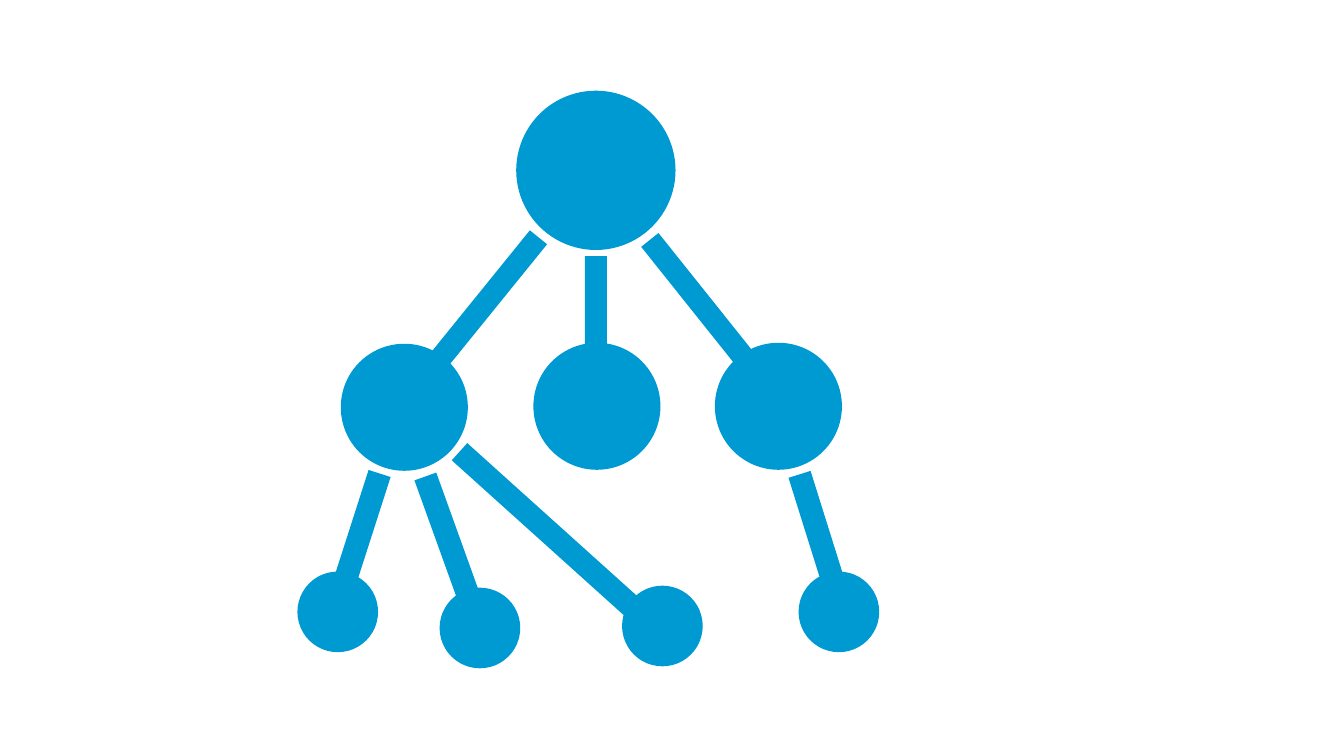
from pptx import Presentation
from pptx.dml.color import RGBColor
from pptx.enum.shapes import MSO_SHAPE
from pptx.util import Inches

CIRCLE, BAR = MSO_SHAPE.OVAL, MSO_SHAPE.RECTANGLE
COLORS = {"tree": "009AD3"}
SLIDE_WIDTH, SLIDE_HEIGHT = Inches(13.33), Inches(7.5)
TREE_BOX = {"left": 0.2213, "top": 0.12, "width": 0.4329}
TREE_COLUMNS = 577

LEVELS = [
    {"diameter": 158, "centres": [(296, 79)]},
    {"diameter": 126, "centres": [(106, 314), (297, 313), (477, 313)]},
    {"diameter": 80, "centres": [(40, 517), (181, 533), (362, 531), (537, 517)]},
]
BRANCHES = [
    {"thickness": 22, "bars": [(296, 234.5, 141, 0), (411, 225, 197, 321.4),
                               (177, 222, 197, 39)]},
    {"thickness": 23, "bars": [(153.5, 456.5, 157, 340.2), (57.5, 454.5, 157, 17.8),
                               (248.5, 437, 236, 312), (521.5, 455.5, 157, 342.6)]},
]


def add_centred_shape(slide, kind, centre, size, rotation=0):
    """Add a plain filled shape around its centre."""
    left, top = (middle - length / 2 for middle, length in zip(centre, size))
    shape = slide.shapes.add_shape(kind, *(round(value) for value in (left, top, *size)))
    shape.rotation = rotation
    shape.shadow.inherit = False
    shape.fill.solid()
    shape.fill.fore_color.rgb = RGBColor.from_string(COLORS["tree"])
    shape.line.fill.background()


def add_tree(slide, left, top, width):
    """Draw the nodes and branches on a square grid inside the given box."""
    cell = width / TREE_COLUMNS

    def place(column, row):
        """Turn a grid position into a slide position."""
        return left + column * cell, top + row * cell

    for level in LEVELS:
        diameter = level["diameter"] * cell
        for centre in level["centres"]:
            add_centred_shape(slide, CIRCLE, place(*centre), (diameter, diameter))
    for branch in BRANCHES:
        thickness = branch["thickness"] * cell
        for column, row, length, rotation in branch["bars"]:
            add_centred_shape(slide, BAR, place(column, row),
                              (thickness, length * cell), rotation)


def main():
    """Build the slide and save it."""
    presentation = Presentation()
    presentation.slide_width, presentation.slide_height = SLIDE_WIDTH, SLIDE_HEIGHT
    slide = presentation.slides.add_slide(presentation.slide_layouts[6])
    add_tree(slide, TREE_BOX["left"] * SLIDE_WIDTH, TREE_BOX["top"] * SLIDE_HEIGHT,
             TREE_BOX["width"] * SLIDE_WIDTH)
    presentation.save("out.pptx")


main()
